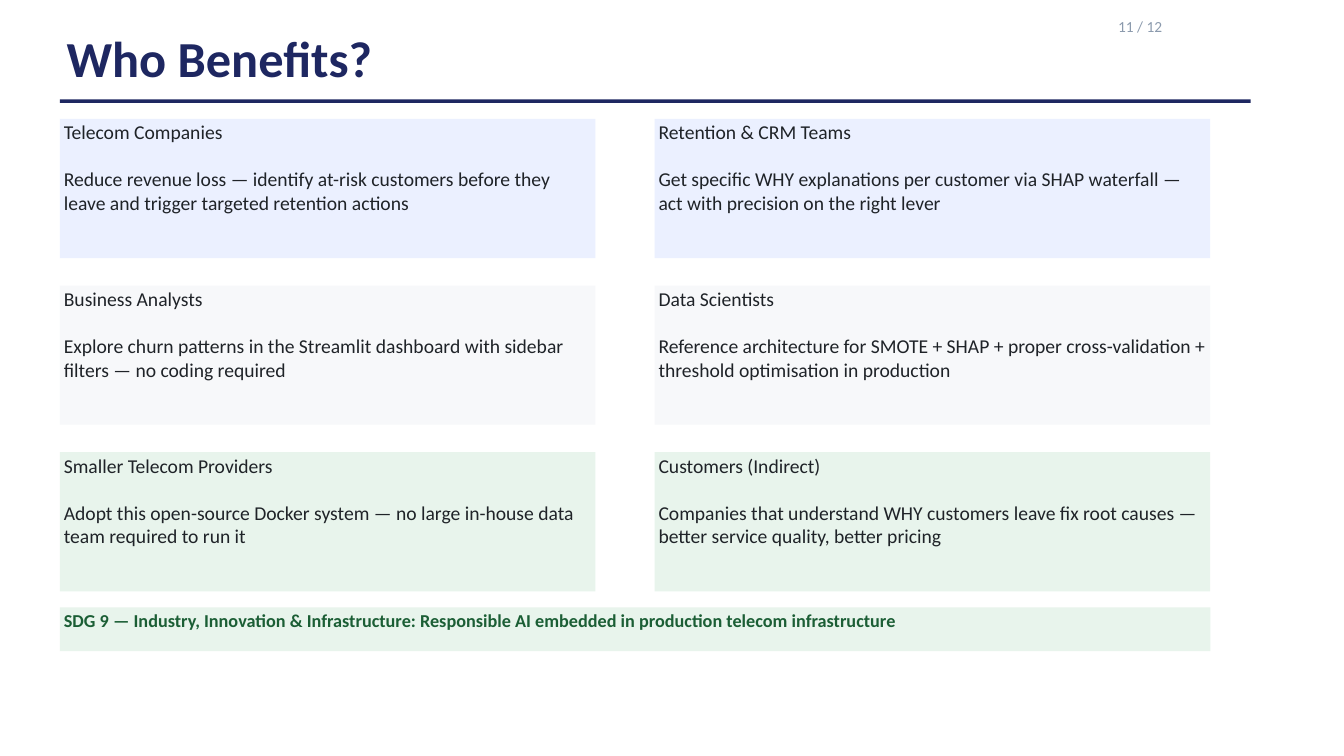
from dataclasses import dataclass

from pptx import Presentation
from pptx.dml.color import RGBColor
from pptx.enum.shapes import MSO_SHAPE
from pptx.enum.text import MSO_ANCHOR, MSO_AUTO_SIZE, PP_ALIGN
from pptx.shapes.autoshape import Shape
from pptx.slide import Slide
from pptx.util import Inches, Pt

NAVY = RGBColor(0x1E, 0x27, 0x61)
INK = RGBColor(0x1F, 0x23, 0x28)
GREY = RGBColor(0x8B, 0x9A, 0xAD)
GREEN = RGBColor(0x1B, 0x5E, 0x35)
PALE_BLUE = RGBColor(0xEB, 0xF0, 0xFF)
PALE_GREY = RGBColor(0xF7, 0xF8, 0xFA)
PALE_GREEN = RGBColor(0xE8, 0xF4, 0xEC)

FONT = "Calibri"
LEADING = 1.2


@dataclass(frozen=True)
class Column:
    left: float
    width: float

    @property
    def right(self) -> float:
        return self.left + self.width


@dataclass(frozen=True)
class Card:
    heading: str
    body: str


@dataclass(frozen=True)
class TextStyle:
    size: float
    color: RGBColor
    bold: bool = False


COLUMNS = (Column(0.89, 7.97), Column(9.74, 8.27))
FULL_WIDTH = COLUMNS[-1].right - COLUMNS[0].left
FIRST_ROW, ROW_PITCH, CARD_HEIGHT = 1.77, 2.48, 2.07
PAD, PAD_TOP = 0.06, 0.02

TITLE = TextStyle(54, NAVY, True)
PAGE = TextStyle(16.5, GREY)
BODY = TextStyle(21, INK)
GOAL = TextStyle(19.5, GREEN, True)

ROWS = (
    (PALE_BLUE, (
        Card("Telecom Companies",
             "Reduce revenue loss — identify at-risk customers before they "
             "leave and trigger targeted retention actions"),
        Card("Retention & CRM Teams",
             "Get specific WHY explanations per customer via SHAP waterfall — "
             "act with precision on the right lever"),
    )),
    (PALE_GREY, (
        Card("Business Analysts",
             "Explore churn patterns in the Streamlit dashboard with sidebar "
             "filters — no coding required"),
        Card("Data Scientists",
             "Reference architecture for SMOTE + SHAP + proper cross-validation + "
             "threshold optimisation in production"),
    )),
    (PALE_GREEN, (
        Card("Smaller Telecom Providers",
             "Adopt this open-source Docker system — no large in-house data "
             "team required to run it"),
        Card("Customers (Indirect)",
             "Companies that understand WHY customers leave fix root causes — "
             "better service quality, better pricing"),
    )),
)


def write(sp: Shape, lines: list[str], style: TextStyle,
          pad: float = 0, pad_top: float = 0) -> None:
    tf = sp.text_frame
    tf.text = "\n".join(lines)
    tf.word_wrap = True
    tf.auto_size = MSO_AUTO_SIZE.NONE
    tf.vertical_anchor = MSO_ANCHOR.TOP
    tf.margin_left = tf.margin_right = tf.margin_bottom = Inches(pad)
    tf.margin_top = Inches(pad_top)
    line = Pt(style.size * LEADING)
    for p in tf.paragraphs:
        p.alignment = PP_ALIGN.LEFT
        p.line_spacing = line
        for r in p.runs:
            r.font.name = FONT
            r.font.size = Pt(style.size)
            r.font.bold = style.bold
            r.font.color.rgb = style.color
    for p in tf.paragraphs[:-1]:
        p.space_after = line


def add_panel(s: Slide, left: float, top: float, width: float, height: float,
              fill: RGBColor) -> Shape:
    sp = s.shapes.add_shape(MSO_SHAPE.RECTANGLE, Inches(left), Inches(top),
                            Inches(width), Inches(height))
    sp.fill.solid()
    sp.fill.fore_color.rgb = fill
    sp.line.fill.background()
    sp.shadow.inherit = False
    return sp


def add_header(s: Slide) -> None:
    page = s.shapes.add_textbox(Inches(16.64), Inches(0.25), Inches(2.16), Inches(0.4))
    write(page, ["11 / 12"], PAGE)
    title = s.shapes.title
    title.left, title.top = Inches(0.99), Inches(0.4)
    title.width, title.height = Inches(15.15), Inches(0.97)
    write(title, ["Who Benefits?"], TITLE)
    add_panel(s, COLUMNS[0].left, 1.48, 17.72, 0.05, NAVY)


def add_cards(s: Slide) -> None:
    for row, (fill, cards) in enumerate(ROWS):
        top = FIRST_ROW + row * ROW_PITCH
        for col, card in zip(COLUMNS, cards):
            sp = add_panel(s, col.left, top, col.width, CARD_HEIGHT, fill)
            write(sp, [card.heading, card.body], BODY, PAD, PAD_TOP)


def add_goal(s: Slide) -> None:
    sp = add_panel(s, COLUMNS[0].left, 9.04, FULL_WIDTH, 0.65, PALE_GREEN)
    write(sp, ["SDG 9 — Industry, Innovation & Infrastructure: Responsible AI "
               "embedded in production telecom infrastructure"], GOAL, PAD, PAD_TOP)


def main() -> None:
    prs = Presentation()
    prs.slide_width, prs.slide_height = Inches(20), Inches(11.25)
    s = prs.slides.add_slide(prs.slide_layouts[5])
    add_header(s)
    add_cards(s)
    add_goal(s)
    prs.save("out.pptx")


if __name__ == "__main__":
    main()
